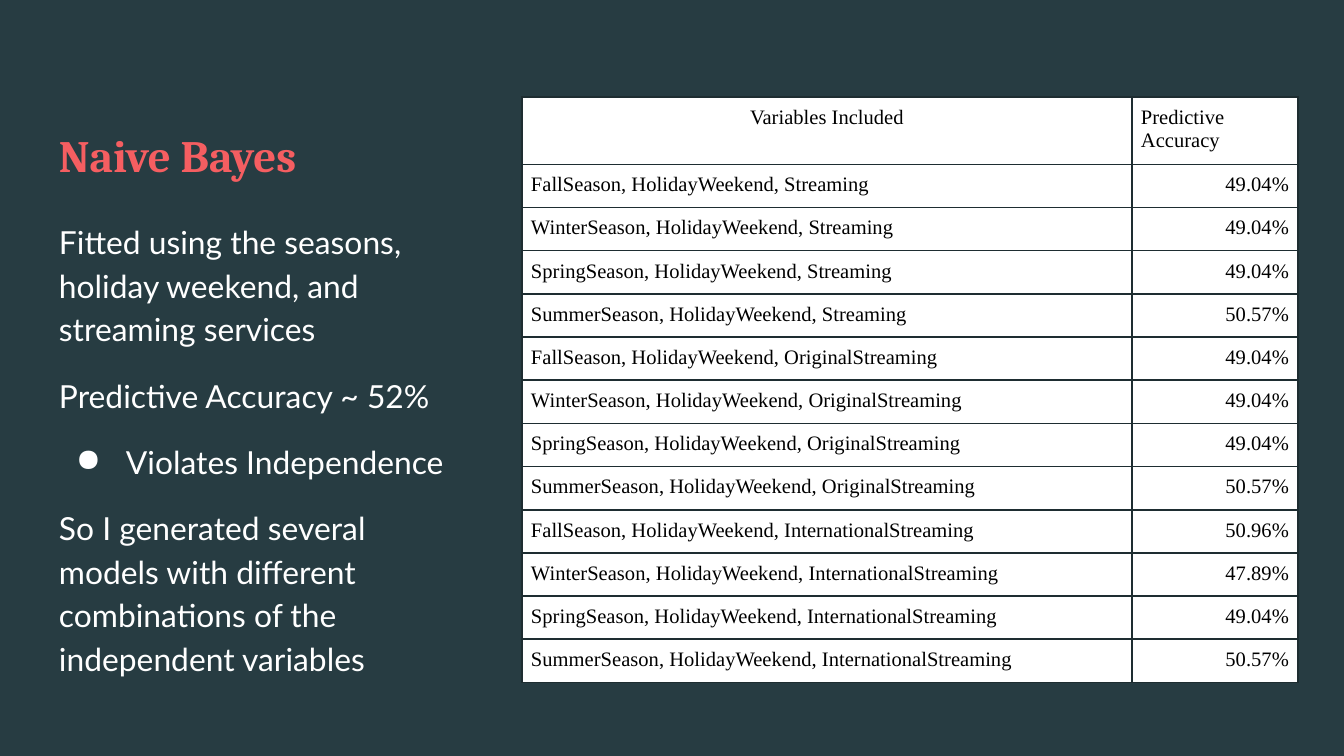
import itertools

import pptx
import pptx.dml.color
import pptx.enum.text
import pptx.oxml
import pptx.oxml.ns
import pptx.util

ALIGN = pptx.enum.text.PP_ALIGN
ANCHOR = pptx.enum.text.MSO_ANCHOR
SEASONS = ["Fall", "Winter", "Spring", "Summer"]
STREAMS = ["Streaming", "OriginalStreaming", "InternationalStreaming"]
SCORES = [49.04, 49.04, 49.04, 50.57,
          49.04, 49.04, 49.04, 50.57,
          50.96, 47.89, 49.04, 50.57]


def px(count):
    return pptx.util.Emu(round(count * 914400 / 134.4))


def color(code):
    return pptx.dml.color.RGBColor.from_string(code)


def node(tag, attrs="", inner=""):
    """Make one DrawingML element."""
    space = pptx.oxml.ns.nsdecls("a")
    return pptx.oxml.parse_xml(f"<a:{tag} {space} {attrs}>{inner}</a:{tag}>")


class Deck:
    back, accent, light = "273C42", "F55E61", "FFFFFF"
    ink, rule = "000000", "1E2D31"
    head, body, grid = "Cambria", "Lato", "Times New Roman"

    def __init__(self, width, height):
        self.file = pptx.Presentation()
        self.file.slide_width, self.file.slide_height = px(width), px(height)
        self.slide = self.file.slides.add_slide(self.file.slide_layouts[6])
        fill = self.slide.background.fill
        fill.solid()
        fill.fore_color.rgb = color(self.back)

    def font(self, para, name, size, code, bold=False):
        font = para.font
        font.name, font.size, font.bold = name, pptx.util.Pt(size), bold
        font.color.rgb = color(code)

    def frame(self, left, top, width, height, anchor):
        box = self.slide.shapes.add_textbox(*map(px, (left, top, width, height)))
        frame = box.text_frame
        frame.word_wrap, frame.vertical_anchor = True, anchor
        frame.margin_left = frame.margin_right = px(13)
        frame.margin_top = frame.margin_bottom = px(13)
        return frame

    def title(self, text, *place):
        para = self.frame(*place, ANCHOR.BOTTOM).paragraphs[0]
        para.text = text
        self.font(para, self.head, 24, self.accent, True)

    def bullet(self, para):
        props = para._p.get_or_add_pPr()
        props.set("marL", str(px(67)))
        props.set("indent", str(-px(50)))
        props.append(node("buClr", inner=f'<a:srgbClr val="{self.light}"/>'))
        props.append(node("buChar", 'char="●"'))

    def text(self, lines, *place):
        """Add paragraphs given as (text, has bullet) pairs."""
        frame = self.frame(*place, ANCHOR.TOP)
        for i, (line, dot) in enumerate(lines):
            para = frame.add_paragraph() if i else frame.paragraphs[0]
            para.text = line
            para.line_spacing = 1.15
            para.space_before = pptx.util.Pt(12 if i else 0)
            self.font(para, self.body, 17, self.light)
            if dot:
                self.bullet(para)
        para.space_after = pptx.util.Pt(12)

    def cell(self, cell, text, align):
        cell.margin_left = cell.margin_right = px(9)
        cell.margin_top = cell.margin_bottom = px(9)
        cell.fill.solid()
        cell.fill.fore_color.rgb = color(self.light)
        paint = f'<a:solidFill><a:srgbClr val="{self.rule}"/></a:solidFill>'
        for i, side in enumerate("LRTB"):
            line = node("ln" + side, f'w="{pptx.util.Pt(1)}"', paint)
            cell._tc.get_or_add_tcPr().insert(i, line)
        para = cell.text_frame.paragraphs[0]
        para.text, para.alignment = text, align
        self.font(para, self.grid, 11, self.ink)

    def table(self, rows, left, top, widths, heights):
        size = sum(widths), sum(heights)
        table = self.slide.shapes.add_table(
            len(rows), len(widths), *map(px, (left, top, *size))).table
        table.first_row = table.horz_banding = False
        for col, width in zip(table.columns, widths):
            col.width = px(width)
        for row, height in zip(table.rows, heights):
            row.height = px(height)
        for r, row in enumerate(rows):
            aligns = (ALIGN.LEFT, ALIGN.RIGHT) if r else (ALIGN.CENTER, ALIGN.LEFT)
            for c, text in enumerate(row):
                self.cell(table.cell(r, c), text, aligns[c])


def main():
    deck = Deck(1344, 756)
    deck.title("Naive Bayes", 46, 82, 413, 112)
    models = itertools.product(STREAMS, SEASONS)
    rows = [("Variables Included", "Predictive Accuracy")]
    rows += [(f"{season}Season, HolidayWeekend, {stream}", f"{score:.2f}%")
             for (stream, season), score in zip(models, SCORES)]
    deck.table(rows, 522, 97, [610, 166], [64] + [43.2] * len(SCORES))
    deck.text([
        ("Fitted using the seasons, holiday weekend, and streaming services", False),
        ("Predictive Accuracy ~ 52%", False),
        ("Violates Independence", True),
        ("So I generated several models with different combinations of the "
         "independent variables", False),
    ], 46, 204, 413, 468)
    deck.file.save("out.pptx")


if __name__ == "__main__":
    main()
